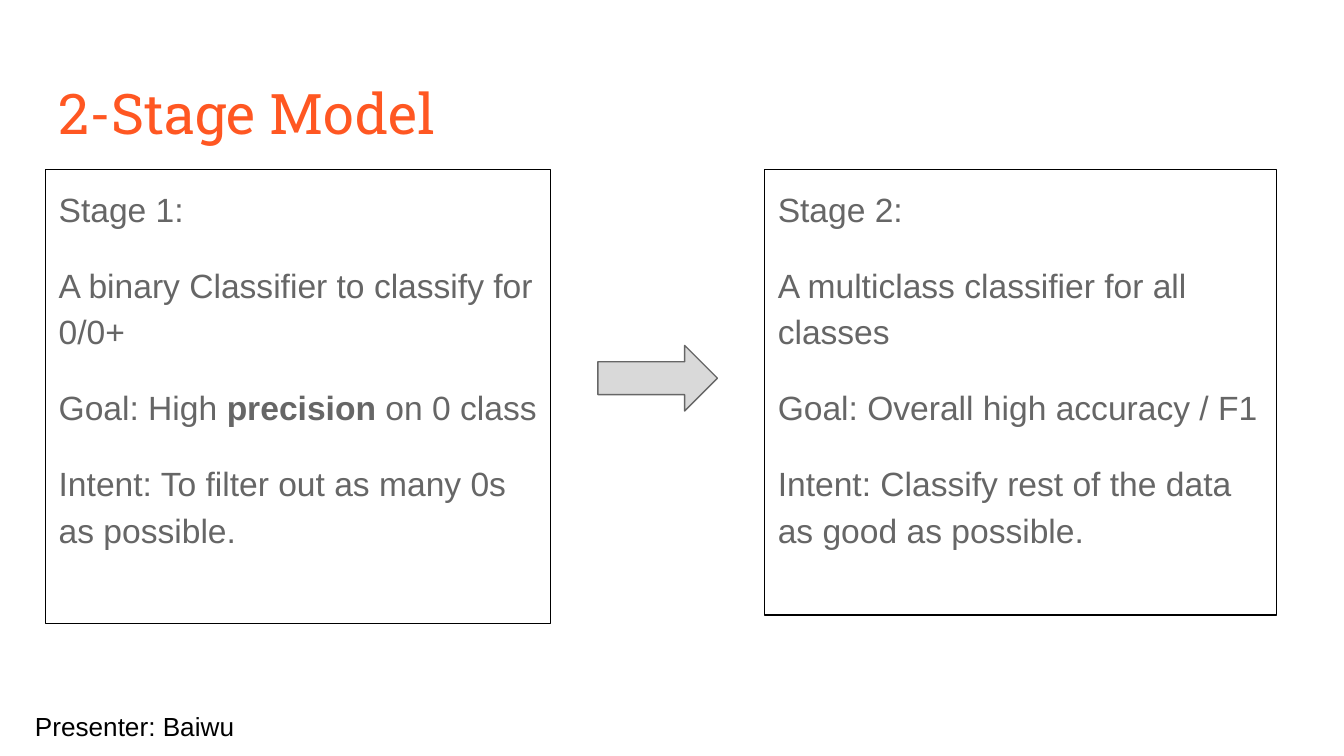
from pptx import Presentation
from pptx.dml.color import RGBColor
from pptx.enum.shapes import MSO_SHAPE as Shape
from pptx.enum.text import MSO_ANCHOR as Anchor, MSO_AUTO_SIZE as AutoSize, PP_ALIGN as Align
from pptx.util import Cm, Pt

COLORS = {"title": "FF5722", "body": "666666", "black": "000000", "arrow": "D9D9D9"}


def color(name):
    return RGBColor.from_string(COLORS[name])


def format_text(shape, size, font_name, color_name):
    frame = shape.text_frame
    frame.word_wrap = True
    frame.auto_size = AutoSize.NONE
    frame.vertical_anchor = Anchor.TOP
    frame.margin_left = frame.margin_right = Cm(0.25)
    frame.margin_top = frame.margin_bottom = Cm(0.25)
    for paragraph in frame.paragraphs:
        paragraph.alignment = Align.LEFT
        paragraph.font.size = Pt(size)
        paragraph.font.name = font_name
        paragraph.font.color.rgb = color(color_name)


presentation = Presentation()
presentation.slide_width, presentation.slide_height = Cm(25.4), Cm(14.29)
slide = presentation.slides.add_slide(presentation.slide_layouts[5])

# Title
title = slide.shapes.title
title.left, title.top, title.width, title.height = Cm(0.86), Cm(1.24), Cm(23.67), Cm(1.6)
title.text_frame.text = "2-Stage Model"
format_text(title, 30, "Roboto Slab", "title")

# Stage boxes: left, width, height, paragraphs as (text, bold) runs
stages = [
    (0.86, 9.55, 8.59, [
        [("Stage 1:", False)],
        [("A binary Classifier to classify for 0/0+", False)],
        [("Goal: High ", False), ("precision", True), (" on 0 class", False)],
        [("Intent: To filter out as many 0s as possible.", False)],
    ]),
    (14.45, 9.68, 8.43, [
        [("Stage 2:", False)],
        [("A multiclass classifier for all classes", False)],
        [("Goal: Overall high accuracy / F1", False)],
        [("Intent: Classify rest of the data as good as possible.", False)],
    ]),
]
for left, width, height, paragraphs in stages:
    box = slide.shapes.add_shape(Shape.RECTANGLE, Cm(left), Cm(3.2), Cm(width), Cm(height))
    box.shadow.inherit = False
    box.fill.background()
    box.line.color.rgb = color("black")
    box.line.width = Pt(0.75)
    frame = box.text_frame
    for index, runs in enumerate(paragraphs):
        paragraph = frame.add_paragraph() if index else frame.paragraphs[0]
        paragraph.line_spacing = 1.15
        paragraph.space_before = Pt(16 if index else 0)
        for text, bold in runs:
            run = paragraph.add_run()
            run.text = text
            run.font.bold = bold
    format_text(box, 18, "Arial", "body")

# Arrow between the stages
arrow = slide.shapes.add_shape(Shape.RIGHT_ARROW, Cm(11.3), Cm(6.53), Cm(2.26), Cm(1.24))
arrow.shadow.inherit = False
arrow.fill.solid()
arrow.fill.fore_color.rgb = color("arrow")
arrow.line.color.rgb = color("body")
arrow.line.width = Pt(0.75)

# Presenter
presenter = slide.shapes.add_textbox(Cm(0.41), Cm(13.18), Cm(6.2), Cm(1.11))
presenter.text_frame.text = "Presenter: Baiwu"
format_text(presenter, 14, "Arial", "black")

presentation.save("out.pptx")
